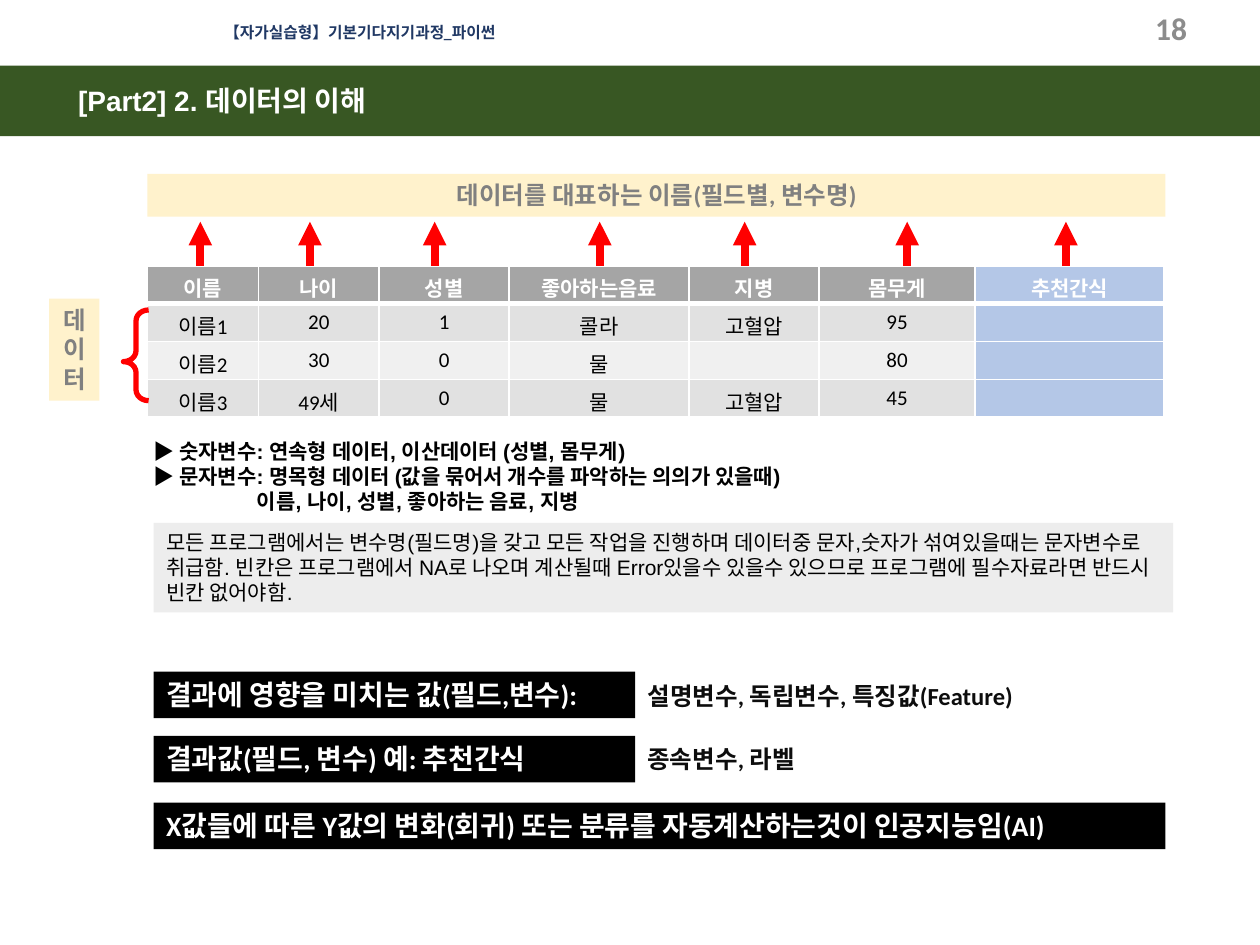
from lxml.etree import SubElement
from pptx import Presentation
from pptx.dml.color import RGBColor
from pptx.enum.shapes import MSO_CONNECTOR, MSO_SHAPE
from pptx.enum.text import MSO_ANCHOR, MSO_AUTO_SIZE, PP_ALIGN
from pptx.oxml.ns import qn
from pptx.util import Inches, Pt

COLORS = {
    "green": "385723", "navy": "203864", "white": "FFFFFF", "black": "000000",
    "cream": "FFF2CC", "gray text": "808080", "number": "8C8C8C", "ink": "0D0D0D",
    "red": "FF0000", "note": "EDEDED", "header": "A5A5A5", "blue": "B4C7E7",
    "odd row": "E1E1E1", "even row": "F0F0F0",
}


def color(name):
    return RGBColor.from_string(COLORS[name])


def add_text(box, lines, size, text_color, font="Calibri", bold=True, fill=None,
             align=PP_ALIGN.LEFT, anchor=MSO_ANCHOR.TOP, wrap=True):
    """Add a text box, or a filled rectangle when fill is given."""
    position = [Inches(value) for value in box]
    if fill:
        shape = slide.shapes.add_shape(MSO_SHAPE.RECTANGLE, *position)
        shape.shadow.inherit = False
        shape.fill.solid()
        shape.fill.fore_color.rgb = color(fill)
        shape.line.fill.background()
    else:
        shape = slide.shapes.add_textbox(*position)
    frame = shape.text_frame
    frame.word_wrap = wrap
    frame.auto_size = MSO_AUTO_SIZE.SHAPE_TO_FIT_TEXT
    frame.vertical_anchor = anchor
    frame.text = "\n".join(lines)
    for paragraph in frame.paragraphs:
        paragraph.alignment = align
        text_font = paragraph.runs[0].font
        text_font.name, text_font.size, text_font.bold = font, Pt(size), bold
        text_font.color.rgb = color(text_color)
    return shape


presentation = Presentation()
presentation.slide_width, presentation.slide_height = Inches(10), Inches(7.5)
slide = presentation.slides.add_slide(presentation.slide_layouts[5])

# Title band and page header
title = slide.shapes.title
title.left, title.top, title.width, title.height = (
    Inches(value) for value in (0, 0.52, 10, 0.56))
title.fill.solid()
title.fill.fore_color.rgb = color("green")
title_frame = title.text_frame
title_frame.text = "[Part2] 2. 데이터의 이해"
title_frame.margin_left = Inches(0.62)
title_frame.vertical_anchor = MSO_ANCHOR.MIDDLE
title_frame.auto_size = MSO_AUTO_SIZE.NONE
title_frame.paragraphs[0].alignment = PP_ALIGN.LEFT
title_font = title_frame.paragraphs[0].runs[0].font
title_font.name, title_font.size, title_font.bold = "Arial", Pt(16), True
title_font.color.rgb = color("white")

add_text((1.68, 0.13, 2.41, 0.25), ["【자가실습형】기본기다지기과정_파이썬"], 9, "navy", wrap=False)
page_number = add_text((7.27, 0.02, 2.25, 0.4), ["18"], 18, "number",
                       align=PP_ALIGN.RIGHT, anchor=MSO_ANCHOR.MIDDLE)
page_number.text_frame.auto_size = MSO_AUTO_SIZE.NONE

# Data table
ROWS = [
    ["이름", "나이", "성별", "좋아하는음료", "지병", "몸무게", "추천간식"],
    ["이름1", "20", "1", "콜라", "고혈압", "95", ""],
    ["이름2", "30", "0", "물", "", "80", ""],
    ["이름3", "49세", "0", "물", "고혈압", "45", ""],
]
COLUMN_WIDTHS = [0.88, 0.96, 1.03, 1.43, 1.03, 1.24, 1.5]
ROW_FILLS = ["header", "odd row", "even row", "odd row"]

table = slide.shapes.add_table(len(ROWS), len(COLUMN_WIDTHS), Inches(1.17), Inches(2.11),
                               Inches(8.08), Inches(1.16)).table
for column, width in zip(table.columns, COLUMN_WIDTHS):
    column.width = Inches(width)
for row_index, texts in enumerate(ROWS):
    table.rows[row_index].height = Inches(0.29)
    is_header = row_index == 0
    for column_index, text in enumerate(texts):
        cell = table.cell(row_index, column_index)
        is_result = column_index == len(texts) - 1
        properties = cell._tc.get_or_add_tcPr()
        for side in ("lnL", "lnR", "lnT", "lnB"):
            thick = (is_header and side == "lnB") or (row_index == 1 and side == "lnT")
            border = SubElement(properties, qn(f"a:{side}"), w=str(Pt(3 if thick else 1)))
            border_fill = SubElement(border, qn("a:solidFill"))
            SubElement(border_fill, qn("a:srgbClr"), val=COLORS["white"])
        cell.fill.solid()
        cell.fill.fore_color.rgb = color("blue" if is_result else ROW_FILLS[row_index])
        paragraph = cell.text_frame.paragraphs[0]
        paragraph.alignment = PP_ALIGN.CENTER
        if not text:
            SubElement(paragraph._p, qn("a:endParaRPr"), sz="1200")
            continue
        run = paragraph.add_run()
        run.text = text
        run.font.name, run.font.size, run.font.bold = "Calibri", Pt(12), is_header
        run.font.color.rgb = color("white" if is_header else "black")

# Labels around the table
add_text((1.17, 1.38, 8.08, 0.34), ["데이터를 대표하는 이름(필드별, 변수명)"], 14, "gray text",
         fill="cream", align=PP_ALIGN.CENTER)
add_text((0.39, 2.37, 0.4, 0.81), ["데", "이", "터"], 14, "gray text",
         fill="cream", align=PP_ALIGN.CENTER)

brace = slide.shapes.add_shape(MSO_SHAPE.LEFT_BRACE, Inches(0.98), Inches(2.46),
                               Inches(0.2), Inches(0.72))
brace.shadow.inherit = False
brace.adjustments[0], brace.adjustments[1] = 0.43, 0.57
brace.fill.background()
brace.line.color.rgb = color("red")
brace.line.width = Pt(3)

for x in (1.59, 2.46, 3.45, 4.76, 5.91, 7.2, 8.46):
    arrow = slide.shapes.add_connector(MSO_CONNECTOR.STRAIGHT, Inches(x), Inches(1.76),
                                       Inches(x), Inches(2.11))
    arrow.line.color.rgb = color("red")
    arrow.line.width = Pt(4.5)
    SubElement(arrow.line._get_or_add_ln(), qn("a:headEnd"), type="triangle")
    SubElement(arrow._element.spPr, qn("a:effectLst"))

# Explanations
variable_types = add_text((1.12, 3.43, 8.08, 0.71), [
    "▶ 숫자변수: 연속형 데이터, 이산데이터 (성별, 몸무게)",
    "▶ 문자변수: 명목형 데이터 (값을 묶어서 개수를 파악하는 의의가 있을때)",
    "이름, 나이, 성별, 좋아하는 음료, 지병",
], 12, "black", font="Arial")
examples = variable_types.text_frame.paragraphs[2]
examples._p.get_or_add_pPr().set("marL", str(Inches(0.82)))

add_text((1.22, 4.15, 8.09, 0.71), [
    "모든 프로그램에서는 변수명(필드명)을 갖고 모든 작업을 진행하며 데이터중 문자,숫자가 섞여있을때는 "
    "문자변수로 취급함. 빈칸은 프로그램에서 NA로 나오며 계산될때 Error있을수 있을수 있으므로 프로그램에 "
    "필수자료라면 반드시 빈칸 없어야함."
], 12, "black", font="Arial", bold=False, fill="note")

# Conclusions
for top, width, text in (
    (5.33, 3.82, "결과에 영향을 미치는 값(필드,변수):"),
    (5.84, 3.82, "결과값(필드, 변수) 예: 추천간식"),
    (6.37, 8.03, "X값들에 따른 Y값의 변화(회귀) 또는 분류를 자동계산하는것이 인공지능임(AI)"),
):
    add_text((1.22, top, width, 0.37), [text], 16, "white", fill="black")
add_text((5.04, 5.36, 3.29, 0.34), ["설명변수, 독립변수, 특징값(Feature)"], 14, "ink")
add_text((5.04, 5.86, 1.47, 0.34), ["종속변수, 라벨"], 14, "ink", wrap=False)

presentation.save("out.pptx")
